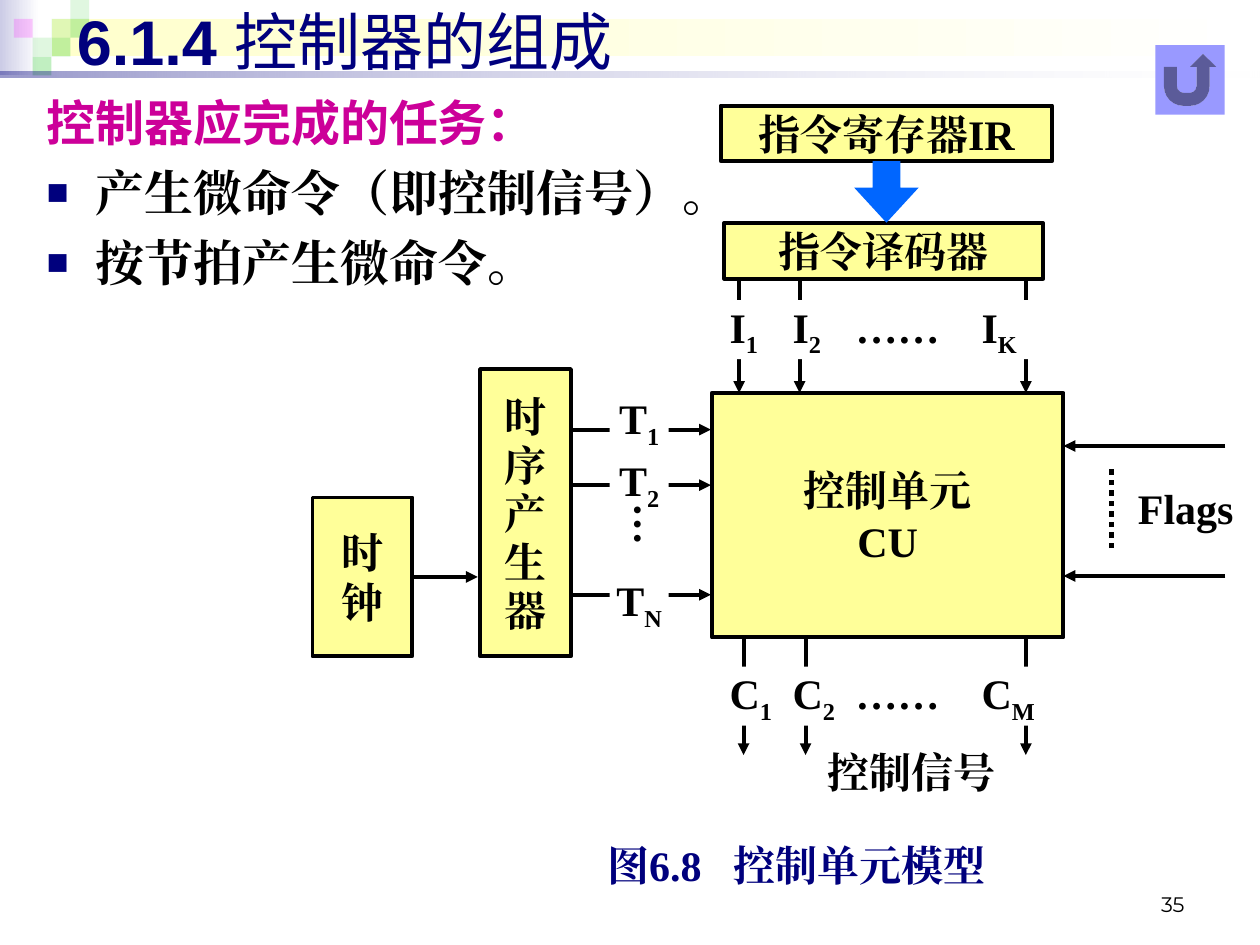
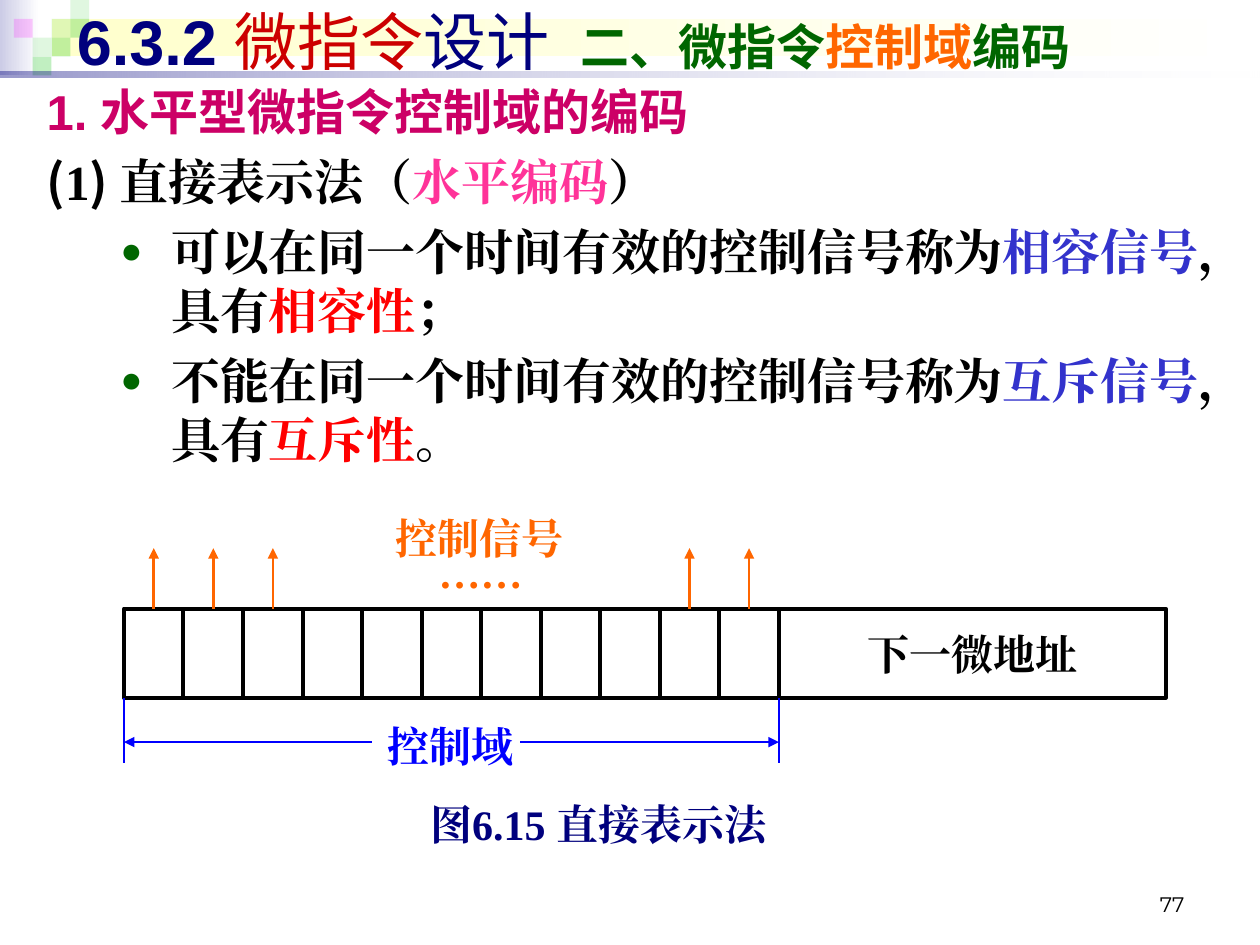
from dataclasses import dataclass
from typing import NamedTuple, Optional

from lxml.etree import SubElement
from pptx import Presentation
from pptx.dml.color import RGBColor
from pptx.enum.dml import MSO_LINE_DASH_STYLE as Dash
from pptx.enum.shapes import MSO_CONNECTOR as Connector, MSO_SHAPE as Preset
from pptx.enum.text import MSO_ANCHOR as Anchor, PP_ALIGN as Align
from pptx.oxml.ns import qn
from pptx.util import Cm, Pt

TIMES, ARIAL, NOTO, MONTSERRAT = "Times New Roman", "Arial", "Noto Sans CJK SC", "Montserrat"
BLACK, WHITE, NAVY, YELLOW = "000000", "FFFFFF", "00007D", "FFFF99"
GREEN, ORANGE, BLUE, RED, VIOLET = "006600", "FF6600", "0000FF", "FF0000", "3333CC"
SQUARE = 0.38
CELL_LEFT, CELL_TOP, CELL_WIDTH, CELL_HEIGHT, CELL_COUNT = 2.5, 12.27, 1.2, 1.8, 11


class Run(NamedTuple):
    text: str
    color: str = BLACK
    size: int = 24
    font: str = TIMES
    bold: bool = True
    subscript: bool = False


class Bullet(NamedTuple):
    symbol: str
    color: str


@dataclass
class Para:
    runs: list[Run]
    align: Align = Align.LEFT
    before: float = 0
    line: float = 0
    margin: float = 0
    hanging: float = 0
    bullet: Optional[Bullet] = None
    tabs: tuple[float, ...] = ()


@dataclass
class Box:
    left: float
    top: float
    width: float
    height: float
    paragraphs: list[Para]
    fill: str = ""
    line: str = ""
    anchor: Anchor = Anchor.MIDDLE
    insets: tuple[float, float, float, float] = (0, 0, 0, 0)


class Line(NamedTuple):
    x1: float
    y1: float
    x2: float
    y2: float
    color: str = BLACK
    width: float = 2.25
    arrow: bool = True


class Tile(NamedTuple):
    column: int
    row: int
    color: str
    opacity: int


TILES = [
    Tile(2, 1, "33CC33", 15), Tile(3, 0, "33CC33", 15), Tile(3, 1, "33CC33", 30),
    Tile(1, 2, "33CC33", 15), Tile(0, 1, "FF00FF", 20), Tile(2, 2, "33CC33", 30),
    Tile(1, 3, "33CC33", 30),
]
DEFAULT_INSETS = (0.25, 0.13, 0.25, 0.13)


def rgb(color: str) -> RGBColor:
    return RGBColor.from_string(color)


def add_preset(slide, preset, left, top, width, height, fill="", line=""):
    shape = slide.shapes.add_shape(preset, Cm(left), Cm(top), Cm(width), Cm(height))
    shape.shadow.inherit = False
    if fill:
        shape.fill.solid()
        shape.fill.fore_color.rgb = rgb(fill)
    else:
        shape.fill.background()
    if line:
        shape.line.color.rgb = rgb(line)
        shape.line.width = Pt(2.25)
    else:
        shape.line.fill.background()
    return shape


def set_opacity(shape, *percents: int) -> None:
    for color, percent in zip(shape._element.spPr.iter(qn("a:srgbClr")), percents):
        SubElement(color, qn("a:alpha")).set("val", str(percent * 1000))


def add_fade(slide, left, top, width, height, color):
    shape = add_preset(slide, Preset.RECTANGLE, left, top, width, height)
    shape.fill.gradient()
    shape.fill.gradient_angle = 0
    for stop, position, stop_color in zip(shape.fill.gradient_stops, (0, 1), (color, WHITE)):
        stop.position = position
        stop.color.rgb = rgb(stop_color)
    return shape


def write_run(paragraph, item: Run) -> None:
    run = paragraph.add_run()
    run.text = item.text
    run.font.size = Pt(item.size)
    run.font.bold = item.bold
    run.font.color.rgb = rgb(item.color)
    run.font.name = item.font
    properties = run._r.get_or_add_rPr()
    SubElement(properties, qn("a:ea")).set("typeface", item.font)
    if item.subscript:
        properties.set("baseline", "-25000")


def write_paragraph(paragraph, item: Para) -> None:
    properties = paragraph._p.get_or_add_pPr()
    properties.set("marL", str(Cm(item.margin)))
    properties.set("indent", str(Cm(-item.hanging)))
    if item.bullet:
        color = SubElement(properties, qn("a:buClr"))
        SubElement(color, qn("a:srgbClr")).set("val", item.bullet.color)
        SubElement(properties, qn("a:buSzPct")).set("val", "75000")
        SubElement(properties, qn("a:buFont")).set("typeface", ARIAL)
        SubElement(properties, qn("a:buChar")).set("char", item.bullet.symbol)
    if item.tabs:
        tab_list = SubElement(properties, qn("a:tabLst"))
        for position in item.tabs:
            tab = SubElement(tab_list, qn("a:tab"))
            tab.set("pos", str(Cm(position)))
            tab.set("algn", "l")
    paragraph.alignment = item.align
    if item.before:
        paragraph.space_before = Pt(item.before)
    if item.line:
        paragraph.line_spacing = item.line
    for run in item.runs:
        write_run(paragraph, run)


def add_box(slide, box: Box):
    bounds = (box.left, box.top, box.width, box.height)
    if box.fill or box.line:
        shape = add_preset(slide, Preset.RECTANGLE, *bounds, box.fill, box.line)
    else:
        shape = slide.shapes.add_textbox(*map(Cm, bounds))
    frame = shape.text_frame
    frame.word_wrap = True
    frame.vertical_anchor = box.anchor
    frame.margin_left, frame.margin_top, frame.margin_right, frame.margin_bottom = map(Cm, box.insets)
    for index, item in enumerate(box.paragraphs):
        write_paragraph(frame.add_paragraph() if index else frame.paragraphs[0], item)
    return shape


def add_line(slide, line: Line):
    connector = slide.shapes.add_connector(
        Connector.STRAIGHT, Cm(line.x1), Cm(line.y1), Cm(line.x2), Cm(line.y2))
    connector.line.color.rgb = rgb(line.color)
    connector.line.width = Pt(line.width)
    if line.arrow:
        SubElement(connector.line._get_or_add_ln(), qn("a:tailEnd")).set("type", "triangle")
    SubElement(connector._element.spPr, qn("a:effectLst"))
    return connector


def centered(*runs: Run, line: float = 0, before: float = 0) -> Para:
    return Para(list(runs), Align.CENTER, line=line, before=before)


def indexed(letter: str, index: str) -> list[Run]:
    return [Run(letter), Run(index, subscript=True)]


def signal_row(letter: str, last: str, tabs: tuple[float, ...]) -> Para:
    runs = (indexed(letter, "1") + indexed("\t" + letter, "2")
            + [Run("\t……")] + indexed("\t" + letter, last))
    return Para(runs, line=0.8, tabs=tabs)


def add_body(slide, top: float, height: float, paragraphs: list[Para]) -> None:
    add_box(slide, Box(0.69, top, 24.41, height, paragraphs, anchor=Anchor.TOP, insets=DEFAULT_INSETS))


def add_caption(slide, left, top, width, text, inset, tab) -> None:
    add_box(slide, Box(left, top, width, 1.02, [Para([Run(text, NAVY)], tabs=(tab,))],
                       fill=WHITE, insets=(inset, 0, 0, 0)))


def start_slide(presentation, title: list[Run], number: str):
    slide = presentation.slides.add_slide(presentation.slide_layouts[6])
    add_fade(slide, 0, 0, 0.79, 1.52, "CCCCE6")
    add_fade(slide, 1.04, 0.38, 24.26, 0.76, "FFFFCC")
    for tile in TILES:
        shape = add_preset(slide, Preset.RECTANGLE, 0.28 + SQUARE * tile.column,
                           SQUARE * tile.row, SQUARE, SQUARE, tile.color)
        set_opacity(shape, tile.opacity)
    set_opacity(add_fade(slide, 0, 1.44, 25.4, 0.13, NAVY), 40, 10)
    add_box(slide, Box(18.21, 17.35, 5.92, 1.27,
                       [Para([Run(number, size=12, font=MONTSERRAT, bold=False)], Align.RIGHT)],
                       anchor=Anchor.BOTTOM, insets=DEFAULT_INSETS))
    add_box(slide, Box(1.3, -0.08, 23.8, 1.8, [Para(title, tabs=(11.5,))], insets=DEFAULT_INSETS))
    return slide


def build_controller(presentation) -> None:
    slide = start_slide(presentation, [
        Run("6.1.4 ", NAVY, 36, ARIAL), Run("控制器的组成", NAVY, 36, ARIAL, False)], "35")
    tasks = ["产生微命令（即控制信号）。", "按节拍产生微命令。"]
    add_body(slide, 1.73, 16.99, [
        Para([Run("控制器应完成的任务：", "CC0099", 28, ARIAL)], margin=0.99, hanging=0.99),
        *[Para([Run(task, size=28)], before=6.5, margin=0.99, hanging=0.99,
               bullet=Bullet("■", NAVY)) for task in tasks]])
    add_caption(slide, 11.51, 16.92, 9.4, "图6.8\t控制单元模型", 0.73, 2.76)

    add_box(slide, Box(14.35, 7.92, 7.09, 4.93, [centered(Run("控制单元")), centered(Run("CU"))],
                       YELLOW, BLACK))
    for x in (14.9, 16.12, 20.68):
        add_line(slide, Line(x, 5.62, x, 7.92))
    for x in (14.99, 16.24, 20.68):
        add_line(slide, Line(x, 12.87, x, 15.22))
    for y in (8.66, 9.78, 11.99):
        add_line(slide, Line(11.51, y, 14.33, y))
    for y in (8.99, 11.61):
        add_line(slide, Line(24.7, y, 21.44, y))
    flag_dots = add_line(slide, Line(22.4, 11.05, 22.4, 9.42, width=3, arrow=False))
    flag_dots.line.dash_style = Dash.ROUND_DOT

    timing = [centered(*indexed("T", "1")), centered(*indexed("T", "2"), before=2.4),
              centered(*indexed("T", "N"), before=35.8)]
    for box in (
        Box(14.71, 6.05, 7.01, 1.19, [signal_row("I", "K", (0.95, 2.3, 5.12))], WHITE),
        Box(14.71, 13.44, 6.76, 1.19, [signal_row("C", "M", (1.11, 2.52, 5.32))], WHITE),
        Box(16.69, 15.04, 3.5, 1.02, [Para([Run("控制信号")])], WHITE),
        Box(12.29, 8.03, 1.19, 4.6, timing, WHITE),
        Box(22.94, 9.65, 2, 1.17, [Para([Run("Flags")])], WHITE),
        Box(9.68, 7.44, 1.83, 5.79, [centered(Run("时序产生器"), line=0.96)], YELLOW, BLACK,
            insets=(0.15, 0.1, 0.15, 0)),
        Box(14.53, 2.13, 6.68, 1.12, [centered(Run("指令寄存器IR"))], YELLOW, BLACK),
        Box(14.6, 4.5, 6.43, 1.12, [centered(Run("指令译码器"))], YELLOW, BLACK),
    ):
        add_box(slide, box)
    down_arrow = add_preset(slide, Preset.DOWN_ARROW, 17.22, 3.25, 1.3, 1.24, "0066FF")
    down_arrow.adjustments[0], down_arrow.adjustments[1] = 0.43, 0.57
    clock = add_box(slide, Box(6.3, 10.03, 2.01, 3.2, [centered(Run("时")), centered(Run("钟"))],
                               YELLOW, BLACK))
    add_line(slide, Line(8.31, 11.63, 9.63, 11.63)).begin_connect(clock, 3)
    ellipsis = add_box(slide, Box(12.37, 10.03, 1.52, 2.21, [centered(Run("…"))],
                                  anchor=Anchor.TOP, insets=DEFAULT_INSETS))
    ellipsis.text_frame._txBody.bodyPr.set("vert", "eaVert")
    add_preset(slide, Preset.ACTION_BUTTON_RETURN, 23.29, 0.91, 1.4, 1.4, "9999FF")


def build_encoding(presentation) -> None:
    slide = start_slide(presentation, [
        Run("6.3.2 ", NAVY, 36, ARIAL), Run("微指令", "CC0000", 36, ARIAL, False),
        Run("设计\t", NAVY, 36, ARIAL, False), Run("二、微指令", GREEN, 28, ARIAL),
        Run("控制域", ORANGE, 28, ARIAL), Run("编码", GREEN, 28, ARIAL)], "77")
    definitions = [("可以", "相容信号", "相容性", "；"), ("不能", "互斥信号", "互斥性", "。")]
    add_body(slide, 2.92, 12, [
        Para([Run("(", size=28, font=NOTO), Run("1", size=28), Run(") ", size=28, font=NOTO),
              Run("直接表示法（", size=28), Run("水平编码", "FF3399", 28), Run("）", size=28)],
             margin=0.99, hanging=0.99),
        *[Para([Run(ability + "在同一个时间有效的控制信号称为", size=28), Run(signal, VIOLET, 28),
                Run("，具有", size=28), Run(quality, RED, 28), Run(ending, size=28)],
               before=6.5, margin=2.51, hanging=1.02, bullet=Bullet("●", GREEN))
          for ability, signal, quality, ending in definitions]])
    add_body(slide, 1.52, 1.4, [
        Para([Run("1. 水平型微指令控制域的编码", "CC0066", 28, ARIAL)], margin=0.97, hanging=0.97)])

    cells = [add_preset(slide, Preset.RECTANGLE, CELL_LEFT + CELL_WIDTH * index, CELL_TOP,
                        CELL_WIDTH, CELL_HEIGHT, line=BLACK) for index in range(CELL_COUNT)]
    field_right = CELL_LEFT + CELL_WIDTH * CELL_COUNT
    field_bottom = CELL_TOP + CELL_HEIGHT
    add_box(slide, Box(field_right, CELL_TOP, 7.8, CELL_HEIGHT, [centered(Run("下一微地址"))],
                       line=BLACK))
    for index in (0, 1, 2, 9, 10):
        x = CELL_LEFT + CELL_WIDTH * (index + 0.5)
        add_line(slide, Line(x, CELL_TOP, x, 11.05, ORANGE, 1.5)).begin_connect(cells[index], 0)
    for x, label_edge in ((CELL_LEFT, 7.49), (field_right, 10.49)):
        add_line(slide, Line(x, field_bottom, x, 15.39, BLUE, 1.5, False))
        add_line(slide, Line(label_edge, 14.96, x, 14.96, BLUE, 1.5))
    for box in (
        Box(8.13, 10.62, 3.12, 1.8, [centered(Run("……", ORANGE))]),
        Box(7.29, 10.13, 4.75, 1.4, [centered(Run("控制信号", ORANGE))]),
        Box(6.71, 14.33, 4.75, 1.4, [centered(Run("控制域", BLUE))]),
    ):
        add_box(slide, box)
    add_caption(slide, 8.31, 16.1, 8.2, "图6.15\t直接表示法", 0.36, 3.17)


def main() -> None:
    presentation = Presentation()
    presentation.slide_width, presentation.slide_height = Cm(25.4), Cm(19.05)
    build_controller(presentation)
    build_encoding(presentation)
    presentation.save("out.pptx")


if __name__ == "__main__":
    main()
